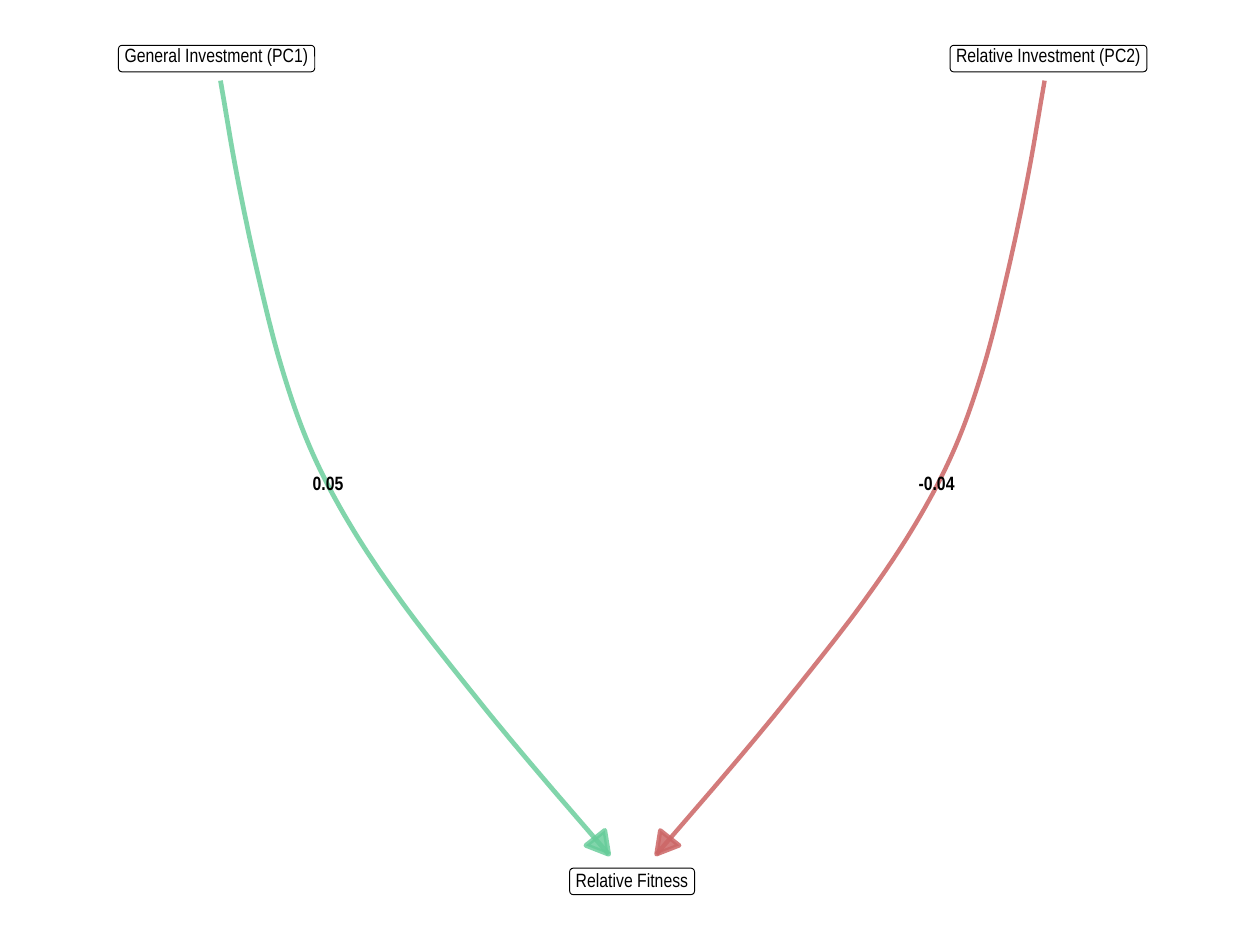
from lxml import etree
from pptx import Presentation
from pptx.dml.color import RGBColor
from pptx.enum import shapes, text
from pptx.oxml import ns
from pptx.util import Pt

GREEN = RGBColor(0x66, 0xCC, 0x99)
RED = RGBColor(0xCC, 0x66, 0x66)
BLACK = RGBColor(0, 0, 0)
WHITE = RGBColor(0xFF, 0xFF, 0xFF)
MIRROR = 722.9
STEPS = 10

KNOTS = [
    (126, 46.1), (135.4, 100.1), (146.9, 154.8), (160.6, 208.8),
    (177.1, 255.6), (199.4, 298.8), (229.7, 344.2), (270, 396),
    (303.8, 437), (347.8, 488.2),
]
HEAD = [(334.8, 483.1), (347.8, 488.2), (345.6, 474.5)]


def smooth(knots):
    before = tuple(2 * a - b for a, b in zip(knots[0], knots[1]))
    after = tuple(2 * a - b for a, b in zip(knots[-1], knots[-2]))
    k = [before, *knots, after]
    points = []
    for quad in zip(k, k[1:], k[2:], k[3:]):
        for i in range(STEPS):
            t = i / STEPS
            points.append(tuple(
                b + t * (c - a) / 2
                + t**2 * (2 * a - 5 * b + 4 * c - d) / 2
                + t**3 * (3 * b - a - 3 * c + d) / 2
                for a, b, c, d in zip(*quad)
            ))
    return points + [knots[-1]]


def set_text(sp, words, bold=False, bottom=0):
    tf = sp.text_frame
    tf.text = words
    tf.word_wrap = False
    tf.vertical_anchor = text.MSO_ANCHOR.MIDDLE
    tf.margin_left = tf.margin_right = tf.margin_top = 0
    tf.margin_bottom = Pt(bottom)
    p = tf.paragraphs[0]
    p.alignment = text.PP_ALIGN.CENTER
    p.line_spacing = Pt(11)
    r = p.runs[0]
    r.font.name = "Arial Narrow"
    r.font.size = Pt(11)
    r.font.bold = bold
    r.font.color.rgb = BLACK


prs = Presentation()
prs.slide_width, prs.slide_height = Pt(720), Pt(540)
s = prs.slides.add_slide(prs.slide_layouts[6])

for color, width, opacity, mirrored in [(GREEN, 2.68, 82, False), (RED, 2.5, 85, True)]:
    for points, closed in [(smooth(KNOTS), False), (HEAD, True)]:
        pts = [(Pt(MIRROR - x if mirrored else x), Pt(y)) for x, y in points]
        fb = s.shapes.build_freeform(*pts[0], scale=1.0)
        fb.add_line_segments(pts[1:], close=closed)
        sp = fb.convert_to_shape()
        sp.shadow.inherit = False
        sp.line.color.rgb = color
        sp.line.width = Pt(width)
        if closed:
            sp.fill.solid()
            sp.fill.fore_color.rgb = color
        else:
            sp.fill.background()
        for clr in sp.element.spPr.iter(ns.qn("a:srgbClr")):
            etree.SubElement(clr, ns.qn("a:alpha"), val=str(opacity * 1000))

for words, x, w in [("0.05", 177.2, 20.6), ("-0.04", 523.2, 24)]:
    sp = s.shapes.add_textbox(Pt(x), Pt(272.9), Pt(w), Pt(7.9))
    set_text(sp, words, bold=True)

for words, x, y, w, bottom in [
    ("General Investment (PC1)", 67.7, 25.9, 112.2, 2),
    ("Relative Investment (PC2)", 542.9, 25.9, 112.5, 2),
    ("Relative Fitness", 325.5, 496.1, 71.4, 0),
]:
    sp = s.shapes.add_shape(shapes.MSO_SHAPE.ROUNDED_RECTANGLE, Pt(x), Pt(y), Pt(w), Pt(15.2))
    sp.adjustments[0] = 0.14
    sp.shadow.inherit = False
    sp.fill.solid()
    sp.fill.fore_color.rgb = WHITE
    sp.line.color.rgb = BLACK
    sp.line.width = Pt(0.53)
    set_text(sp, words, bottom=bottom)

prs.save("out.pptx")
